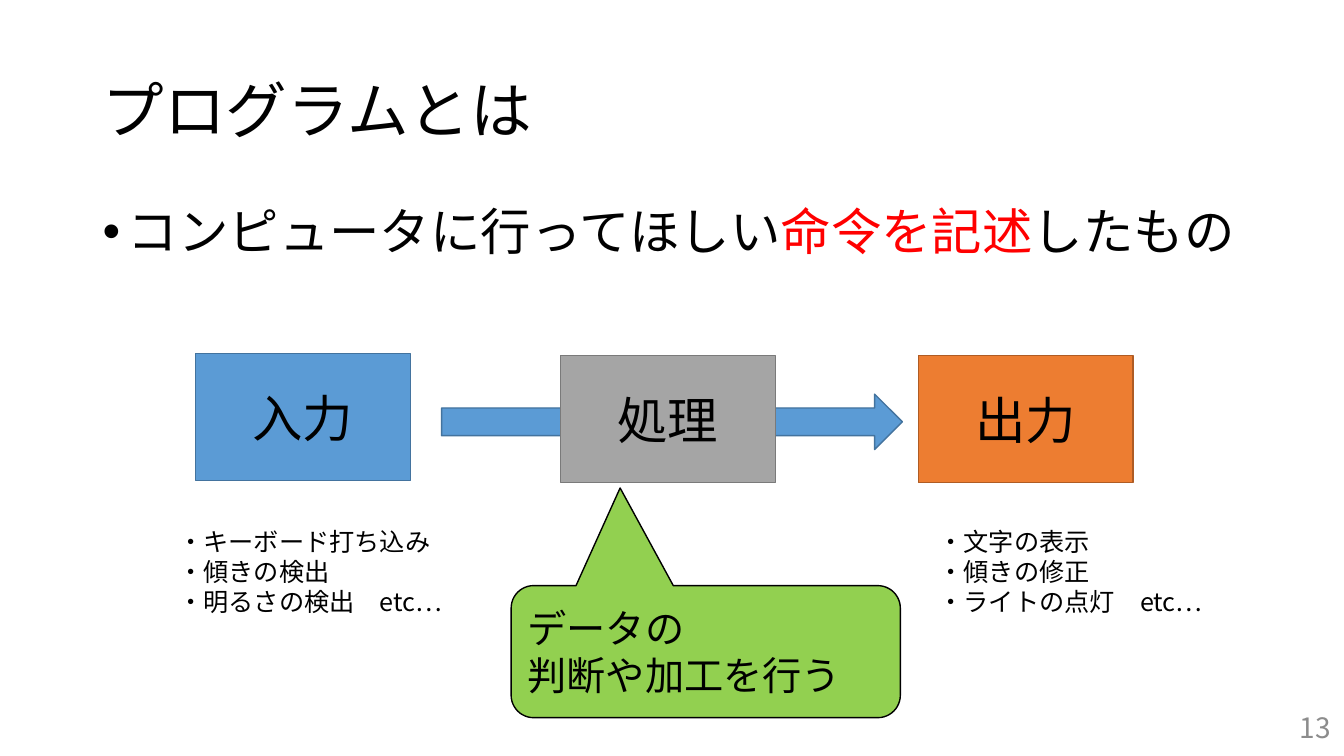
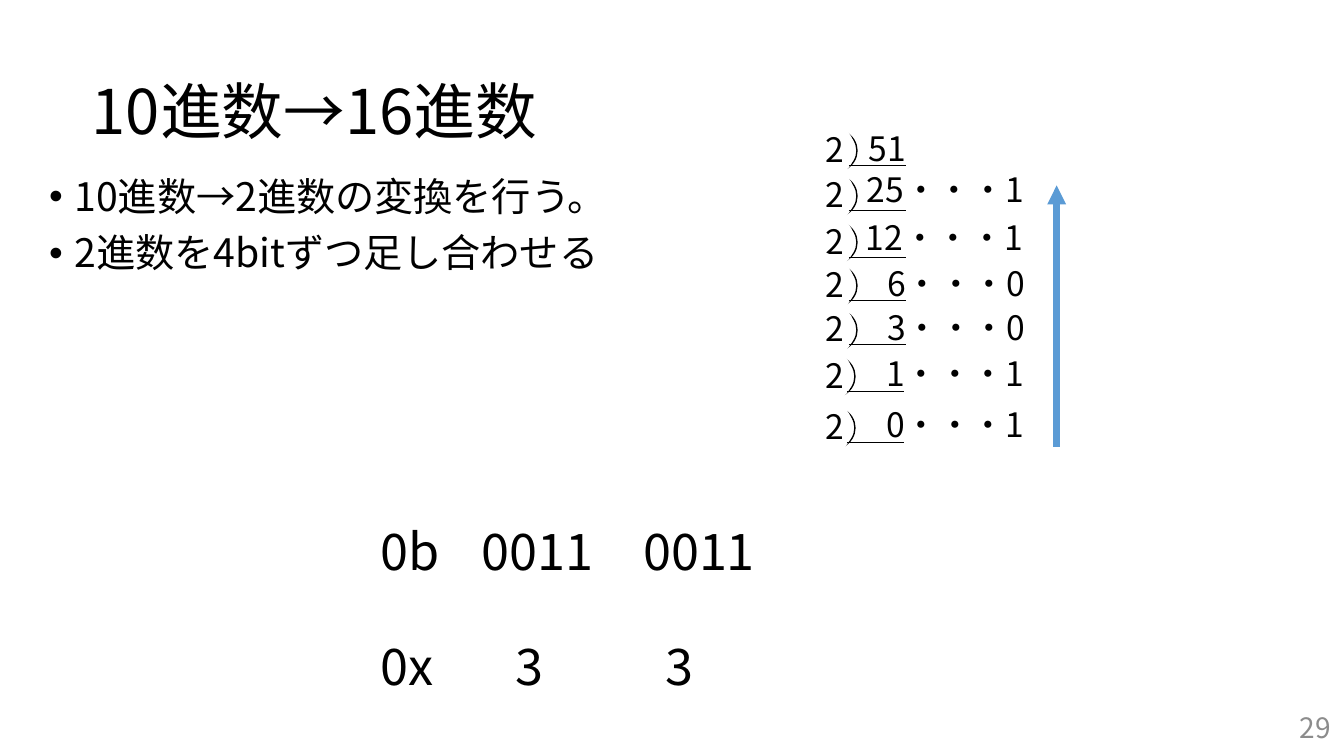
import pptx
import pptx.util
import pptx.dml.color
import pptx.enum.shapes
import pptx.enum.text
import pptx.oxml.ns
from lxml import etree

Inches = pptx.util.Inches
Pt = pptx.util.Pt
Form = pptx.enum.shapes.MSO_SHAPE
Align = pptx.enum.text.PP_ALIGN
Anchor = pptx.enum.text.MSO_ANCHOR
qn = pptx.oxml.ns.qn

FACE = "Noto Sans CJK JP"
BLACK, WHITE, RED, GREY = "000000", "FFFFFF", "FF0000", "8C8C8C"
BLUE, EDGE = "5B9BD5", "43739E"
HEAD = {"size": 44, "para": {"line_spacing": 0.9}, "anchor": Anchor.MIDDLE}
FOOT = {"size": 20, "color": GREY, "para": {"alignment": Align.RIGHT}, "anchor": Anchor.MIDDLE}
MID = {"size": 36, "para": {"alignment": Align.CENTER}, "anchor": Anchor.MIDDLE}
BODY = {"para": {"line_spacing": 0.9}, "gap": 10, "bullet": True}


def paint(item, code):
    if hasattr(item, "solid"):
        item.solid()
        item = item.fore_color
    elif hasattr(item, "fill"):
        item = item.color
    item.rgb = pptx.dml.color.RGBColor.from_string(code)


def put(slide, at, lines=(), form=None, fill=None, edge=None, size=18, color=BLACK,
        para=None, anchor=Anchor.TOP, gap=0, bullet=False, tabs=()):
    place = [Inches(v) for v in at]
    if form is None:
        shape = slide.shapes.add_textbox(*place)
    else:
        shape = slide.shapes.add_shape(form, *place)
        shape.shadow.inherit = False
        paint(shape.fill, fill)
        if edge:
            paint(shape.line, edge)
            shape.line.width = Pt(1)
        else:
            shape.line.fill.background()
    frame = shape.text_frame
    frame.word_wrap = True
    frame.vertical_anchor = anchor
    for row, line in enumerate(lines):
        part = frame.add_paragraph() if row else frame.paragraphs[0]
        part.alignment = Align.LEFT
        for name, value in (para or {}).items():
            setattr(part, name, value)
        if row and gap:
            part.space_before = Pt(gap)
        props = part._p.get_or_add_pPr()
        if bullet:
            props.set("marL", str(Inches(0.25)))
            props.set("indent", str(Inches(-0.25)))
            etree.SubElement(props, qn("a:buFont"), typeface="Arial")
            etree.SubElement(props, qn("a:buChar"), char="•")
        if tabs:
            stops = etree.SubElement(props, qn("a:tabLst"))
            for stop in tabs:
                etree.SubElement(stops, qn("a:tab"), pos=str(Inches(stop)), algn="l")
        for turn, text in enumerate(line.split("|")):
            run = part.add_run()
            run.text = text
            for name, value in {"size": Pt(size), "name": FACE}.items():
                setattr(run.font, name, value)
            paint(run.font.fill, RED if turn % 2 else color)
            etree.SubElement(run._r.get_or_add_rPr(), qn("a:ea"), typeface=FACE)
    return shape


deck = pptx.Presentation()
deck.slide_width, deck.slide_height = Inches(13.33), Inches(7.5)
pages = []
for title, area, number in [
    ("プログラムとは", (0.92, 0.4, 11.5, 1.45), "13"),
    ("10進数→16進数", (0.81, 0.75, 9.85, 0.78), "29"),
]:
    page = deck.slides.add_slide(deck.slide_layouts[6])
    put(page, area, [title], **HEAD)
    put(page, (10.3, 7.02, 3, 0.4), [number], **FOOT)
    pages.append(page)
flow, base = pages

put(flow, (0.92, 2, 11.5, 4.76), ["コンピュータに行ってほしい|命令を記述|したもの"], size=36, **BODY)
put(flow, (4.38, 3.91, 4.57, 0.55), form=Form.RIGHT_ARROW, fill=BLUE, edge=EDGE)
for left, top, word, fill, edge in [
    (1.94, 3.51, "入力", BLUE, EDGE),
    (5.56, 3.53, "処理", "A5A5A5", "7A7A7A"),
    (9.11, 3.53, "出力", "ED7D31", "AF5C24"),
]:
    put(flow, (left, top, 2.13, 1.26), [word], Form.RECTANGLE, fill, edge, **MID)
for left, lines in [
    (1.67, ["・キーボード打ち込み", "・傾きの検出", "・明るさの検出　etc…"]),
    (9.21, ["・文字の表示", "・傾きの修正", "・ライトの点灯　etc…"]),
]:
    put(flow, (left, 5.17, 3.07, 1.19), lines)
call = put(flow, (5.07, 5.81, 3.86, 1.31), ["データの", "判断や加工を行う"],
           Form.ROUNDED_RECTANGULAR_CALLOUT, "92D050", BLACK, 28, anchor=Anchor.MIDDLE)
for spot, value in enumerate((-0.22, -1.24, 0.17)):
    call.adjustments[spot] = value

put(base, (0.39, 1.71, 5.87, 4.08),
    ["10進数→2進数の変換を行う。", "2進数を4bitずつ足し合わせる"], size=28, **BODY)

wires = []
for left, top, start, high, text in [
    (8.03, 1.28, 8.52, 1.22, "51"),
    (8.03, 1.73, 8.5, 1.63, "25・・・1"),
    (8.03, 2.19, 8.49, 2.1, "12・・・1"),
    (8.03, 2.62, 8.7, 2.56, "6・・・0"),
    (8.03, 3.06, 8.7, 3, "3・・・0"),
    (8.01, 3.52, 8.69, 3.45, "1・・・1"),
    (8.01, 4.03, 8.69, 3.96, "0・・・1"),
]:
    put(base, (left, top, 0.47, 0.43), form=Form.OVAL, fill=WHITE, edge=BLACK)
    put(base, (start, high, 2.16, 0.5), [text], size=24)
    put(base, (left - 0.5, top - 0.14, 0.95, 0.7), form=Form.OVAL, fill=WHITE)
    put(base, (8.09, top - 0.05, 0.4, 0.5), ["2"], size=24)
    wires.append((left + 0.39, top + 0.36, left + 0.96, top + 0.36, BLACK, 0.5))
wires.append((10.48, 4.43, 10.48, 1.84, BLUE, 4.5))

for *ends, code, width in wires:
    wire = base.shapes.add_connector(
        pptx.enum.shapes.MSO_CONNECTOR.STRAIGHT, *[Inches(v) for v in ends])
    paint(wire.line, code)
    wire.line.width = Pt(width)
    etree.SubElement(wire._element.spPr, qn("a:effectLst"))
etree.SubElement(wire.line._get_or_add_ln(), qn("a:tailEnd"), type="triangle")

for top, text, tabs in [
    (5.18, "0b\t0011\t0011", (1, 2.6)),
    (6.32, "0x\t3\t3", (1.33, 2.82)),
]:
    put(base, (3.68, top, 5.41, 0.65), [text], size=36, para={"line_spacing": 0.9}, tabs=tabs)

deck.save("out.pptx")
